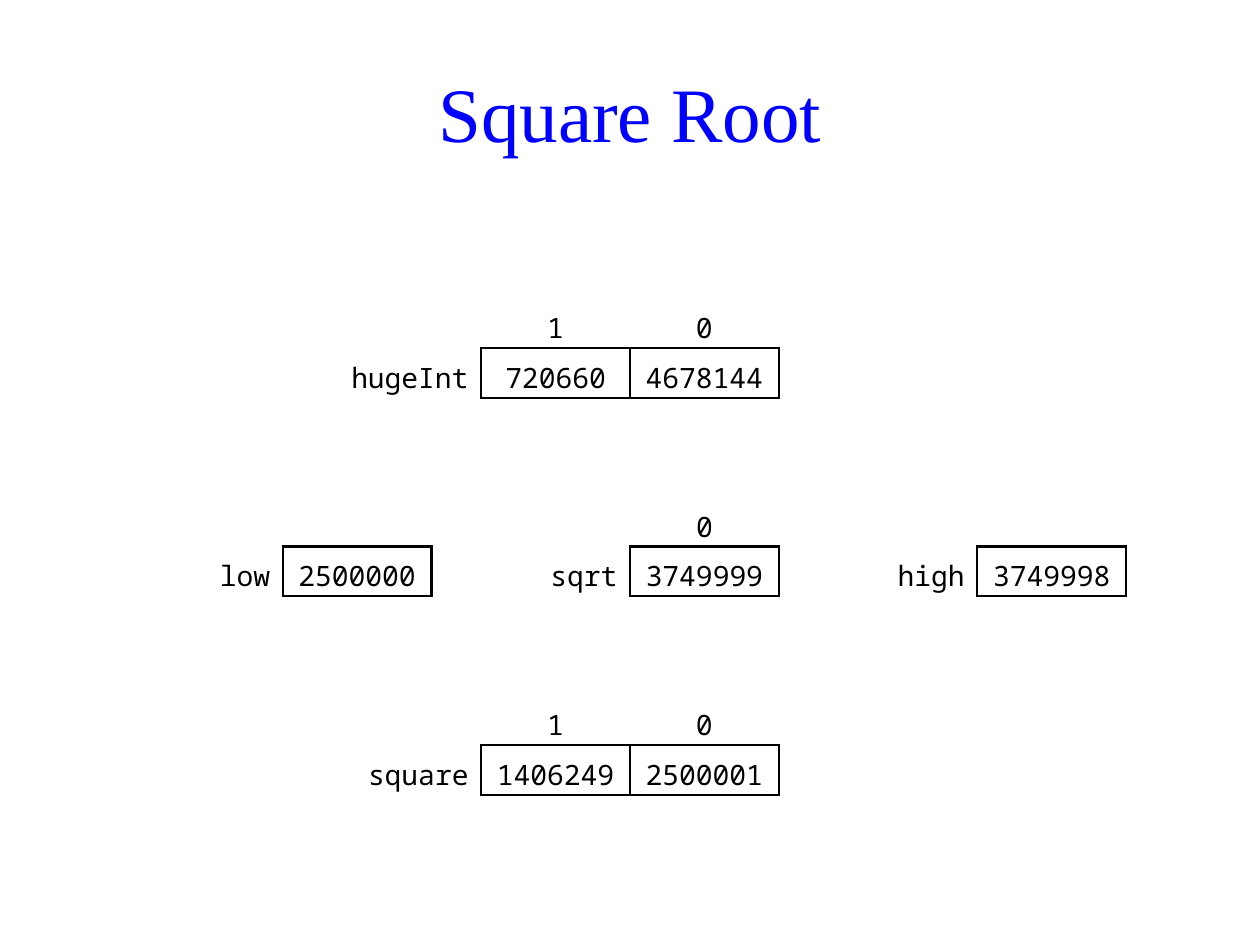
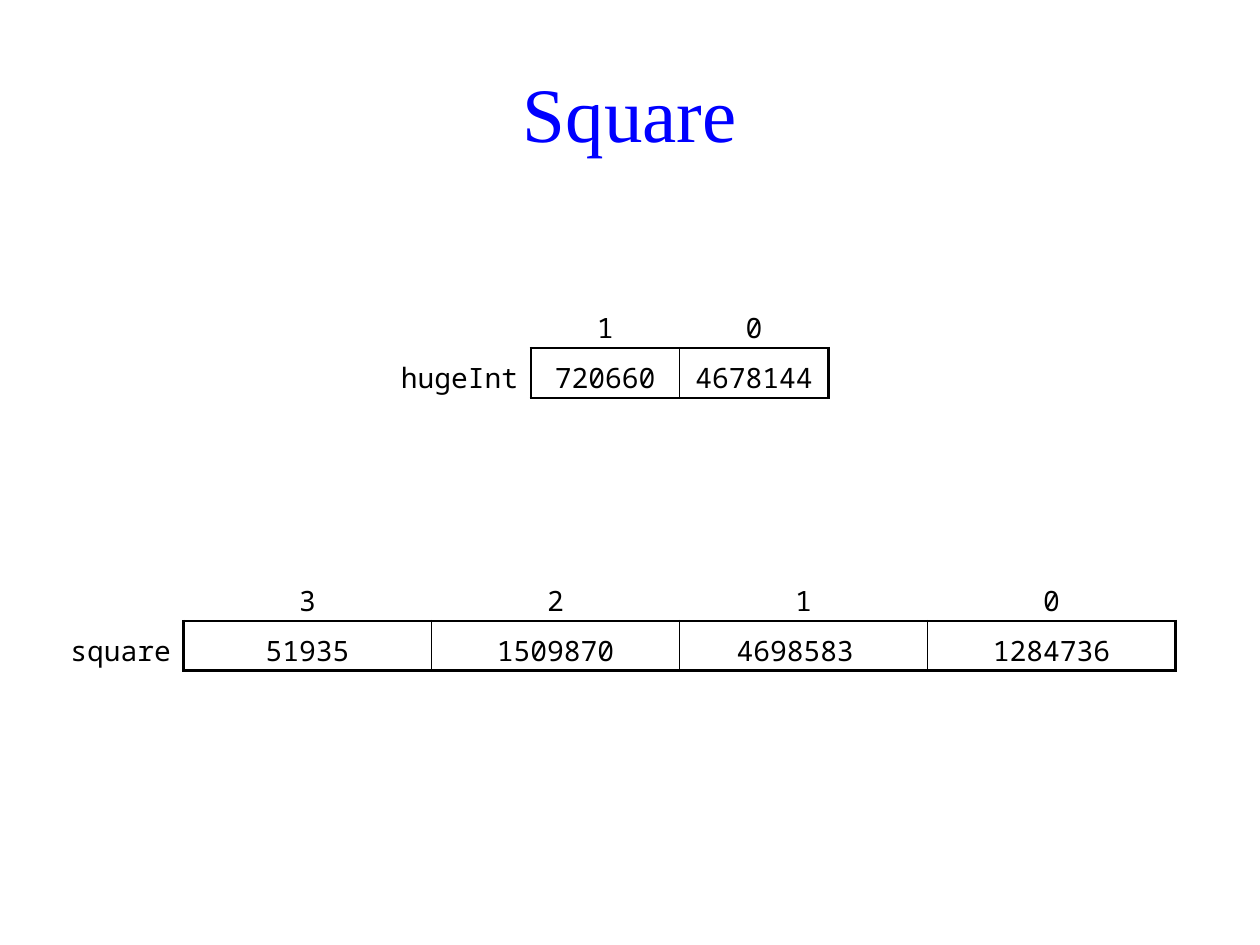
from dataclasses import dataclass

from pptx import Presentation
from pptx.dml.color import RGBColor
from pptx.enum.text import MSO_ANCHOR, PP_ALIGN
from pptx.oxml.ns import qn
from pptx.util import Pt
from lxml import etree

MID = MSO_ANCHOR.MIDDLE
CENTER, RIGHT = PP_ALIGN.CENTER, PP_ALIGN.RIGHT

# Grid: one unit is one row high; columns are counted from the slide centre
UNIT = 28.35
AXIS = 360
TOP = 170.6


@dataclass(frozen=True)
class Theme:
    blue: str = "0000FF"
    black: str = "000000"
    serif: str = "Times New Roman"
    mono: str = "Noto Sans Mono"
    head: int = 44
    body: int = 16
    edge: float = 1.5
    gap: float = 7.2
    lead: float = 1.25


def put(obj, vals):
    """Set each named value on an object."""
    for name, val in vals.items():
        setattr(obj, name, val)


class Deck:
    def __init__(self, theme):
        self.theme = theme
        self.prs = Presentation()
        put(self.prs, {"slide_width": Pt(720), "slide_height": Pt(540)})
        self.slide = None

    def style(self, para, face, size, color, align):
        para.alignment = align
        for run in para.runs:
            put(run.font, {"name": face, "size": Pt(size)})
            run.font.color.rgb = RGBColor.from_string(color)

    def page(self, title):
        """Start a slide and place its title."""
        t = self.theme
        self.slide = self.prs.slides.add_slide(self.prs.slide_layouts[5])
        box = self.slide.shapes.title
        put(box, {"left": Pt(34), "top": Pt(28.8),
                  "width": Pt(652), "height": Pt(70.6)})
        box.text_frame.text = title
        box.text_frame.vertical_anchor = MID
        self.style(box.text_frame.paragraphs[0], t.serif, t.head, t.blue, CENTER)

    def border(self, cell, widths):
        """Draw the left, right, top and bottom edges; 0 hides an edge."""
        props = cell._tc.get_or_add_tcPr()
        for side, width in zip("LRTB", widths):
            line = etree.SubElement(props, qn(f"a:ln{side}"), w=str(Pt(width)))
            if width:
                fill = etree.SubElement(line, qn("a:solidFill"))
                etree.SubElement(fill, qn("a:srgbClr"), val=self.theme.black)
            else:
                etree.SubElement(line, qn("a:noFill"))

    def cell(self, cell, text, widths, align=CENTER, pad=0):
        t = self.theme
        self.border(cell, widths)
        cell.fill.background()
        put(cell, {"margin_left": 0, "margin_right": Pt(pad), "margin_top": 0,
                   "margin_bottom": 0, "vertical_anchor": MID})
        if text:
            cell.text = text
            para = cell.text_frame.paragraphs[0]
            para.line_spacing = t.lead
            self.style(para, t.mono, t.body, t.black, align)

    def array(self, name, vals, col, row, lead, wide=3, rule=1, index=True):
        """Named array: values start at col; lead is the width of the name."""
        edge, count = self.theme.edge, len(vals)
        rows = 2 if index else 1
        cols = [lead] + [wide] * count
        grid = self.slide.shapes.add_table(
            rows, count + 1, Pt(AXIS + (col - lead) * UNIT),
            Pt(TOP + row * UNIT), Pt(sum(cols) * UNIT), Pt(rows * UNIT)).table
        put(grid, {"first_row": False, "horz_banding": False})
        for item, width in zip(grid.columns, cols):
            item.width = Pt(width * UNIT)
        for item in grid.rows:
            item.height = Pt(UNIT)

        # Index row, counted down to zero
        if index:
            self.cell(grid.cell(0, 0), "", (0, 0, 0, 0))
            for pos in range(count):
                self.cell(grid.cell(0, pos + 1), str(count - 1 - pos),
                          (0, 0, 0, edge))

        # Name and values
        last = rows - 1
        self.cell(grid.cell(last, 0), name, (0, edge, 0, 0), RIGHT,
                  self.theme.gap)
        for pos, val in enumerate(vals):
            left = rule if pos else edge
            right = rule if pos < count - 1 else edge
            self.cell(grid.cell(last, pos + 1), val, (left, right, edge, edge))


def main():
    deck = Deck(Theme())
    huge = ("hugeInt", ["720660", "4678144"])

    # Search for the root
    deck.page("Square Root")
    deck.array("square", ["1406249", "2500001"], -3, 8, 2.5)
    deck.array("sqrt", ["3749999"], 0, 4, 2)
    deck.array(*huge, -3, 0, 3, rule=0.75)
    for name, val, col in (("low", "2500000", -7), ("high", "3749998", 7)):
        deck.array(name, [val], col, 5, 2, index=False)

    # Square of the number
    deck.page("Square")
    deck.array("square", ["51935", "1509870", "4698583 ", "1284736"],
               -9, 5.5, 2.5, wide=5)
    deck.array(*huge, -2, 0, 3, rule=0.75)

    deck.prs.save("out.pptx")


if __name__ == "__main__":
    main()
